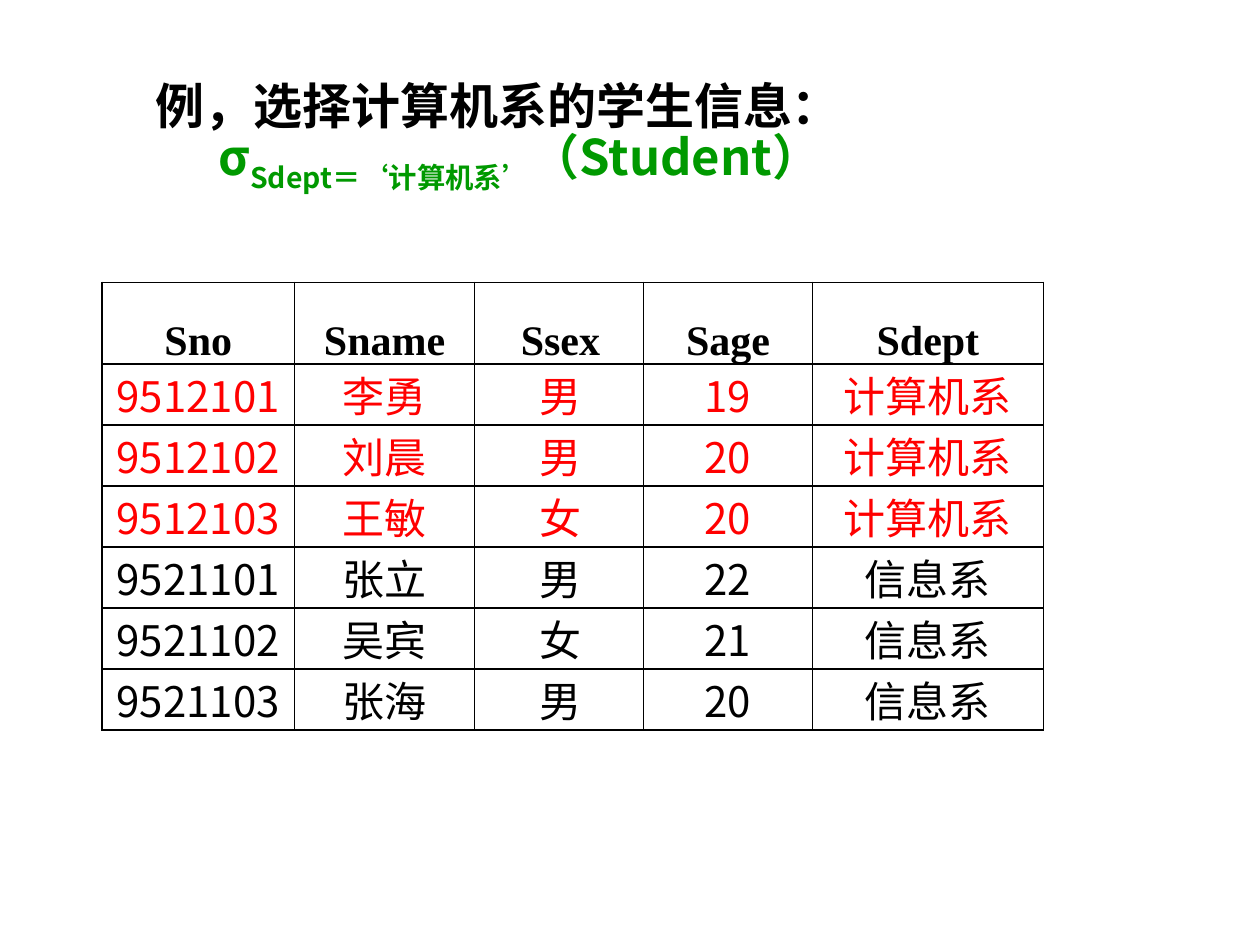
from dataclasses import dataclass

from pptx import Presentation
from pptx.dml.color import RGBColor
from pptx.enum.text import MSO_ANCHOR as Anchor, PP_ALIGN as Align
from pptx.oxml.ns import qn
from pptx.util import Pt
from lxml.etree import SubElement


@dataclass(frozen=True)
class Theme:
    black: str = "000000"
    green: str = "009900"
    red: str = "FF0000"
    sans: str = "Noto Sans CJK SC"
    serif: str = "Times New Roman"
    heading: int = 28
    body: int = 24


THEME = Theme()
COLUMNS = ["Sno", "Sname", "Ssex", "Sage", "Sdept"]
WIDTHS = [110, 103, 96.5, 96.5, 132]
STUDENTS = [
    ["9512101", "李勇", "男", "19", "计算机系"],
    ["9512102", "刘晨", "男", "20", "计算机系"],
    ["9512103", "王敏", "女", "20", "计算机系"],
    ["9521101", "张立", "男", "22", "信息系"],
    ["9521102", "吴宾", "女", "21", "信息系"],
    ["9521103", "张海", "男", "20", "信息系"],
]


def add_text(para, text, size=THEME.body, font=THEME.sans, color=THEME.black,
             bold=False, baseline=0):
    span = para.add_run()
    span.text = text
    span.font.size = Pt(size)
    span.font.name = font
    span.font.bold = bold
    span.font.color.rgb = RGBColor.from_string(color)
    props = span._r.get_or_add_rPr()
    props.set("lang", "zh-CN")
    if baseline:
        props.set("baseline", str(baseline * 1000))
    SubElement(props, qn("a:ea"), typeface=THEME.sans)


def set_indent(para, left=0, first=0):
    props = para._p.get_or_add_pPr()
    props.set("marL", str(Pt(left)))
    props.set("indent", str(Pt(first)))


def add_borders(cell):
    props = cell._tc.get_or_add_tcPr()
    for index, side in enumerate(("lnL", "lnR", "lnT", "lnB")):
        line = props.makeelement(qn(f"a:{side}"), {"w": str(Pt(1))})
        fill = SubElement(line, qn("a:solidFill"))
        SubElement(fill, qn("a:srgbClr"), val=THEME.black)
        props.insert(index, line)


def fill_cell(cell, text, first=0, **style):
    cell.fill.background()
    cell.margin_left = cell.margin_right = Pt(4.5)
    cell.margin_top = cell.margin_bottom = 0
    cell.vertical_anchor = Anchor.BOTTOM
    para = cell.text_frame.paragraphs[0]
    para.alignment = Align.CENTER
    set_indent(para, first=first)
    add_text(para, text, **style)
    add_borders(cell)


def add_heading(page):
    box = page.shapes.add_textbox(Pt(82), Pt(39.6), Pt(541.5), Pt(75))
    frame = box.text_frame
    frame.word_wrap = True
    title = frame.paragraphs[0]
    formula = frame.add_paragraph()
    formula.level = 1
    set_indent(formula, left=36)
    for para in (title, formula):
        para.line_spacing = Pt(33.8)
    style = {"size": THEME.heading, "bold": True}
    add_text(title, "例，选择计算机系的学生信息：", **style)
    for text, baseline in (("σ", 0), ("Sdept＝‘计算机系’", -25), ("（Student）", 0)):
        add_text(formula, text, color=THEME.green, baseline=baseline, **style)


def add_students(page):
    rows = [COLUMNS] + STUDENTS
    table = page.shapes.add_table(len(rows), len(COLUMNS), Pt(58.3), Pt(161.3),
                                  Pt(sum(WIDTHS)), Pt(247.6)).table
    table.horz_banding = False
    for column, width in zip(table.columns, WIDTHS):
        column.width = Pt(width)
    for index, values in enumerate(rows):
        is_header = index == 0
        table.rows[index].height = Pt(46.8 if is_header else 33.1)
        color = THEME.red if values[-1] == "计算机系" else THEME.black
        for number, text in enumerate(values):
            font = THEME.sans if text.isdigit() else THEME.serif
            first = 1.5 if COLUMNS[number] == "Ssex" else 0
            fill_cell(table.cell(index, number), text, first=first,
                      font=font, color=color, bold=is_header)


def main():
    deck = Presentation()
    deck.slide_width, deck.slide_height = Pt(720), Pt(540)
    page = deck.slides.add_slide(deck.slide_layouts[6])
    add_students(page)
    add_heading(page)
    deck.save("out.pptx")


if __name__ == "__main__":
    main()
